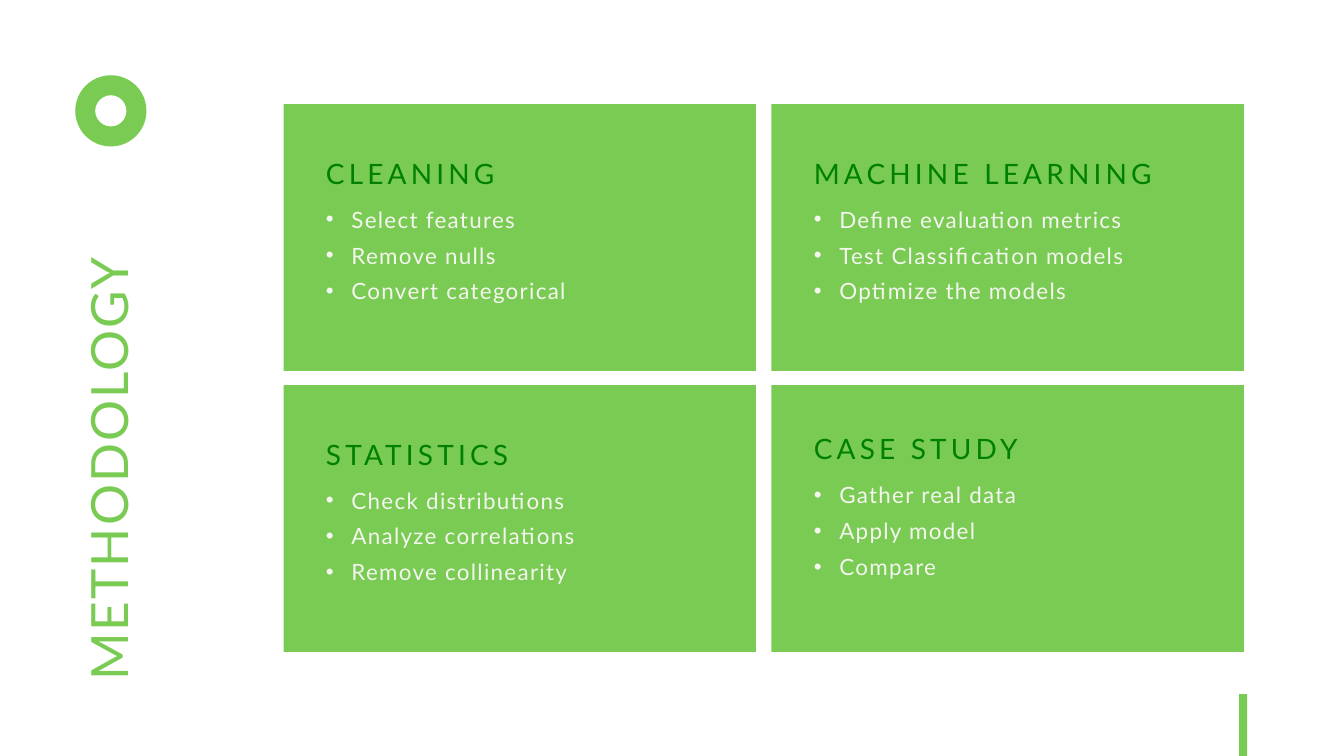
from dataclasses import dataclass

from lxml import etree
from pptx import Presentation
from pptx.dml.color import RGBColor
from pptx.enum import shapes, text
from pptx.oxml import ns
from pptx.util import Pt

PX = 9144  # EMU per px, 100 px to the inch
GREEN = RGBColor(0x7A, 0xCB, 0x53)
DARK_GREEN = RGBColor(0x00, 0x80, 0x00)
CREAM = RGBColor(0xF4, 0xF5, 0xEF)
FONT = "Lato"

CARD_LEFT, CARD_TOP = 422, 155
CARD_WIDTH, CARD_HEIGHT = 703, 397
COLUMN_STEP, ROW_STEP = 726, 418
INDENT = 38


@dataclass(frozen=True)
class TextStyle:
    size: int
    color: RGBColor
    tracking: float
    leading: float
    bulleted: bool = False


@dataclass(frozen=True)
class Card:
    column: int
    row: int
    heading: str
    steps: tuple[str, ...]
    heading_offset: int = 61


TITLE = TextStyle(55, GREEN, 2.2, 77)
HEADING = TextStyle(30, DARK_GREEN, 4.5, 48)
STEPS = TextStyle(24, CREAM, 1.4, 38.4, bulleted=True)

CARDS = (
    Card(0, 1, "STATISTICS",
         ("Check distributions", "Analyze correlations", "Remove collinearity")),
    Card(0, 0, "CLEANING",
         ("Select features", "Remove nulls", "Convert categorical")),
    Card(1, 1, "CASE STUDY",
         ("Gather real data", "Apply model", "Compare"), heading_offset=53),
    Card(1, 0, "MACHINE LEARNING",
         ("Define evaluation metrics", "Test Classification models",
          "Optimize the models")),
)


def add_block(slide, kind, left: int, top: int, width: int, height: int):
    """Add a plain green shape."""
    block = slide.shapes.add_shape(
        kind, left * PX, top * PX, width * PX, height * PX)
    block.shadow.inherit = False
    block.fill.solid()
    block.fill.fore_color.rgb = GREEN
    block.line.fill.background()
    return block


def add_bullet(paragraph) -> None:
    properties = paragraph._p.get_or_add_pPr()
    properties.set("marL", str(INDENT * PX))
    properties.set("indent", str(-INDENT * PX))
    etree.SubElement(properties, ns.qn("a:buFont")).set("typeface", "Arial")
    etree.SubElement(properties, ns.qn("a:buChar")).set("char", "•")


def add_text(slide, lines: tuple[str, ...], style: TextStyle,
             left: int, top: int, width: int, height: int):
    box = slide.shapes.add_textbox(
        left * PX, top * PX, width * PX, height * PX)
    frame = box.text_frame
    frame.margin_left = frame.margin_right = 0
    frame.margin_top = frame.margin_bottom = 0
    frame.word_wrap = True
    frame.auto_size = text.MSO_AUTO_SIZE.SHAPE_TO_FIT_TEXT
    frame.text = "\n".join(lines)
    for paragraph in frame.paragraphs:
        paragraph.line_spacing = Pt(style.leading)
        if style.bulleted:
            add_bullet(paragraph)
        for run in paragraph.runs:
            run.font.name = FONT
            run.font.size = Pt(style.size)
            run.font.color.rgb = style.color
            run._r.get_or_add_rPr().set("spc", str(round(style.tracking * 100)))
    return box


def add_card(slide, card: Card) -> None:
    left = CARD_LEFT + card.column * COLUMN_STEP
    top = CARD_TOP + card.row * ROW_STEP
    add_block(slide, shapes.MSO_SHAPE.RECTANGLE,
              left, top, CARD_WIDTH, CARD_HEIGHT)
    heading_top = top + card.heading_offset
    add_text(slide, (card.heading,), HEADING, left + 63, heading_top, 578, 63)
    add_text(slide, card.steps, STEPS, left + 63, heading_top + 77, 578, 156)


def main() -> None:
    deck = Presentation()
    deck.slide_width, deck.slide_height = 2000 * PX, 1125 * PX
    slide = deck.slides.add_slide(deck.slide_layouts[6])

    # Four method cards
    for card in CARDS:
        add_card(slide, card)

    # Vertical title
    title = add_text(slide, ("METHODOLOGY",), TITLE, -160, 542, 730, 212)
    title.rotation = 270

    # Ring above the title and bar at the bottom edge
    ring = add_block(slide, shapes.MSO_SHAPE.DONUT, 112, 112, 106, 106)
    ring.adjustments[0] = 0.28
    add_block(slide, shapes.MSO_SHAPE.RECTANGLE, 1844, 1033, 12, 183)

    deck.save("out.pptx")


if __name__ == "__main__":
    main()
